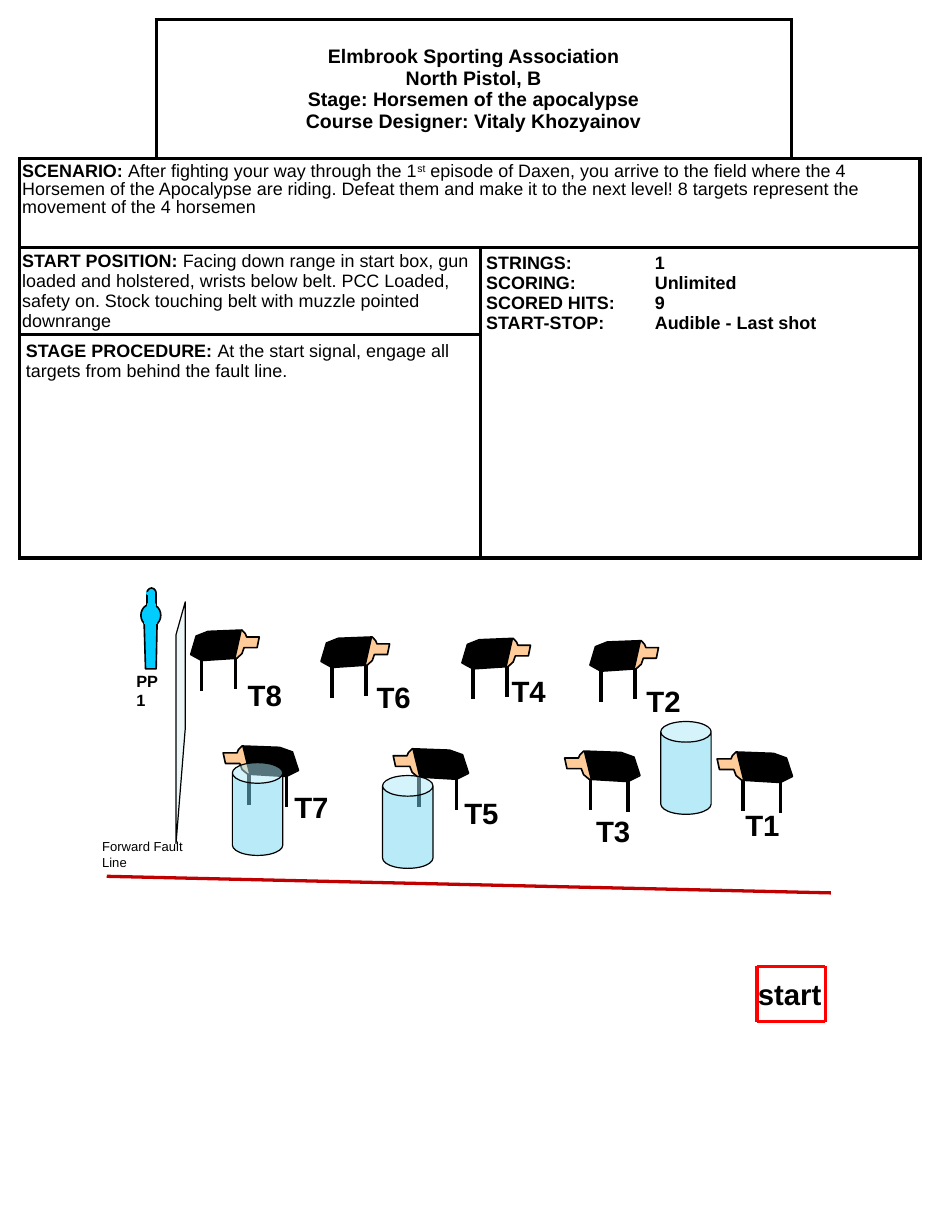
import lxml.etree
import pptx
import pptx.dml.color
import pptx.enum.shapes
import pptx.enum.text
import pptx.oxml.ns
import pptx.util

Cm = pptx.util.Cm
Pt = pptx.util.Pt
SHAPE = pptx.enum.shapes.MSO_SHAPE
ANCHOR = pptx.enum.text.MSO_ANCHOR
qn = pptx.oxml.ns.qn

BLACK, WHITE, SKIN, CYAN = "000000", "FFFFFF", "FFCC99", "00CCFF"

# Horse drawn facing left, in cm from the nose and the top of the back
HORSE = [(.05, .38), (0, .15), (.3, .15), (.33, .08), (.41, 0), (1.22, .03),
         (1.5, .13), (1.63, .53), (1.37, .66), (.53, .61), (.41, .51), (.36, .38)]
COAT = [(1.37, .66), (1.63, .51), (1.5, .13), (1.17, .03), (.41, 0), (.56, .61)]
LEGS = [(.56, .33, 1.27), (1.37, .58, 1.32)]

# Label, nose position, label position, horizontal scale (negative faces right)
TARGETS = [
    ("T1", (15.52, 16.28), (15.88, 17.35), 1),
    ("T2", (14.25, 13.87), (13.74, 14.66), -.91),
    ("T3", (12.22, 16.26), (12.65, 17.48), 1),
    ("T4", (11.48, 13.82), (10.82, 14.45), -.91),
    ("T5", (8.51, 16.21), (9.8, 17.09), 1),
    ("T6", (8.43, 13.79), (7.9, 14.58), -.91),
    ("T7", (4.83, 16.15), (6.12, 16.97), 1),
    ("T8", (5.61, 13.64), (5.11, 14.53), -.91),
]
BARRELS = [(5.03, 16.51), (14.3, 15.62), (8.28, 16.79)]
SCORING = [("STRINGS:", "1"), ("SCORING:", "Unlimited"),
           ("SCORED HITS:", "9"), ("START-STOP:", "Audible - Last shot")]


def rgb(code):
    return pptx.dml.color.RGBColor.from_string(code)


def add_run(paragraph, text, size, bold=False):
    run = paragraph.add_run()
    run.text = text
    run.font.name = "Arial"
    run.font.size = Pt(size)
    run.font.bold = bold
    run.font.color.rgb = rgb(BLACK)
    return run


def paint(shape, fill, line=BLACK, width=1, opacity=None):
    shape.shadow.inherit = False
    shape.fill.solid()
    shape.fill.fore_color.rgb = rgb(fill)
    if opacity:
        color = shape.fill._xPr.find(qn("a:solidFill"))[0]
        lxml.etree.SubElement(color, qn("a:alpha"), val=str(opacity * 1000))
    if line:
        shape.line.color.rgb = rgb(line)
        shape.line.width = Pt(width)
    else:
        shape.line.fill.background()


def add_preset(shapes, kind, box, fill, **style):
    shape = shapes.add_shape(kind, *map(Cm, box))
    paint(shape, fill, **style)
    return shape


def add_outline(shapes, points, fill, **style):
    corners = [(Cm(x), Cm(y)) for x, y in points]
    builder = shapes.build_freeform(*corners[0])
    builder.add_line_segments(corners[1:], close=True)
    paint(builder.convert_to_shape(), fill, **style)


def add_line(shapes, start, end, color, width):
    line = shapes.add_connector(pptx.enum.shapes.MSO_CONNECTOR.STRAIGHT,
                                *map(Cm, (*start, *end)))
    line.line.color.rgb = rgb(color)
    line.line.width = Pt(width)
    lxml.etree.SubElement(line._element.spPr, qn("a:effectLst"))


def add_label(shapes, text, box, size, bold=True):
    label = shapes.add_textbox(*map(Cm, box))
    label.text_frame.word_wrap = True
    add_run(label.text_frame.paragraphs[0], text, size, bold)
    return label.text_frame


def set_borders(cell, sides):
    """Draw the given sides (letters of LRTB) and clear the others."""
    properties = cell._tc.get_or_add_tcPr()
    for index, side in enumerate("LRTB"):
        border = lxml.etree.Element(qn("a:ln" + side), w=str(Pt(2.25)))
        if side in sides:
            fill = lxml.etree.SubElement(border, qn("a:solidFill"))
            lxml.etree.SubElement(fill, qn("a:srgbClr"), val=BLACK)
        else:
            lxml.etree.SubElement(border, qn("a:noFill"))
        properties.insert(index, border)


def set_margins(cell, side, top):
    cell.margin_left = cell.margin_right = Cm(side)
    cell.margin_top = cell.margin_bottom = Cm(top)


def add_briefing(cell, heading, text, side, top):
    set_margins(cell, side, top)
    paragraph = cell.text_frame.paragraphs[0]
    add_run(paragraph, heading + " ", 11, True)
    add_run(paragraph, text, 11)
    return paragraph


def add_scoring(cell):
    set_margins(cell, .13, .13)
    for index, (name, value) in enumerate(SCORING):
        frame = cell.text_frame
        paragraph = frame.add_paragraph() if index else frame.paragraphs[0]
        tabs = lxml.etree.SubElement(paragraph._p.get_or_add_pPr(), qn("a:tabLst"))
        lxml.etree.SubElement(tabs, qn("a:tab"), pos=str(Cm(3.65)), algn="l")
        add_run(paragraph, f"{name}\t{value}", 11, True)


def add_stage_table(shapes):
    widths, heights = (2.95, 7.01, 6.73, 2.79), (3, 1.93, 1.88, 4.83)
    table = shapes.add_table(4, 4, Cm(.43), Cm(.43),
                             Cm(sum(widths)), Cm(sum(heights))).table
    table.first_row = table.horz_banding = False
    for column, width in zip(table.columns, widths):
        column.width = Cm(width)
    for row, height in zip(table.rows, heights):
        row.height = Cm(height)
    for r, c in ((r, c) for r in range(4) for c in range(4)):
        cell = table.cell(r, c)
        cell.fill.solid()
        cell.fill.fore_color.rgb = rgb(WHITE)
        set_borders(cell, {(0, 0): "RB", (0, 3): "LB"}.get((r, c), "LRTB"))
    for first, last in [((0, 1), (0, 2)), ((1, 0), (1, 3)), ((2, 0), (2, 1)),
                        ((2, 2), (3, 3)), ((3, 0), (3, 1))]:
        table.cell(*first).merge(table.cell(*last))

    heading = table.cell(0, 1)
    set_margins(heading, .13, .13)
    heading.vertical_anchor = ANCHOR.MIDDLE
    paragraph = heading.text_frame.paragraphs[0]
    paragraph.alignment = pptx.enum.text.PP_ALIGN.CENTER
    for index, text in enumerate(["Elmbrook Sporting Association", "North Pistol, B",
                                  "Stage: Horsemen of the apocalypse",
                                  "Course Designer: Vitaly Khozyainov"]):
        if index:
            paragraph.add_line_break()
        add_run(paragraph, text, 12, True)

    scenario = add_briefing(table.cell(1, 0), "SCENARIO:",
                            "After fighting your way through the 1", .05, .1)
    scenario.line_spacing = .9
    ordinal = add_run(scenario, "st", 11)
    ordinal._r.get_or_add_rPr().set("baseline", "30000")
    add_run(scenario, " episode of Daxen, you arrive to the field where the 4 Horsemen of "
            "the Apocalypse are riding. Defeat them and make it to the next level! "
            "8 targets represent the movement of the 4 horsemen", 11)
    add_briefing(table.cell(2, 0), "START POSITION:",
                 "Facing down range in start box, gun loaded and holstered, wrists below "
                 "belt. PCC Loaded, safety on. Stock touching belt with muzzle pointed "
                 "downrange", .05, .08)
    add_briefing(table.cell(3, 0), "STAGE PROCEDURE:",
                 "At the start signal, engage all targets from behind the fault line.",
                 .13, .13)
    add_scoring(table.cell(2, 2))


def add_horse(slide, nose, scale):
    def place(points):
        return [(nose[0] + x * scale, nose[1] + y) for x, y in points]

    parts = slide.shapes.add_group_shape().shapes
    for x, top, foot in LEGS:
        add_line(parts, *place([(x, top), (x, foot)]), BLACK, 2.25)
    add_outline(parts, place(HORSE), SKIN)
    add_outline(parts, place(COAT), BLACK, line=None)


def add_start_box(slide):
    parts = slide.shapes.add_group_shape().shapes
    left, top, right, bottom = 16.38, 20.92, 17.86, 22.12
    corners = [(left, top), (right, top), (right, bottom), (left, bottom)]
    for start, end in zip(corners, corners[1:] + corners[:1]):
        add_line(parts, start, end, "FF0000", 2)
    add_label(parts, "start", (16.15, 21.01, 2.18, 1.02), 18)


def add_popper(slide):
    frame = add_label(slide.shapes, "PP1", (2.95, 14.73, .65, .43), 10)
    frame.margin_left = frame.margin_right = frame.margin_top = frame.margin_bottom = 0
    frame.vertical_anchor = ANCHOR.MIDDLE
    parts = slide.shapes.add_group_shape().shapes
    add_preset(parts, SHAPE.OVAL, (3.18, 12.73, .2, .23), CYAN)
    add_preset(parts, SHAPE.OVAL, (3.05, 13.08, .43, .48), CYAN)
    add_outline(parts, [(3.12, 13.49), (3.4, 13.49), (3.38, 14.48), (3.15, 14.48)], CYAN)
    add_preset(parts, SHAPE.RECTANGLE, (3.18, 12.85, .2, .25), CYAN)
    add_preset(parts, SHAPE.RECTANGLE, (3.12, 13.46, .28, .05), CYAN, line=None)
    add_preset(parts, SHAPE.RECTANGLE, (3.2, 13.08, .15, .05), CYAN, line=CYAN)
    add_preset(parts, SHAPE.RECTANGLE, (3.18, 12.83, .15, .03), CYAN, line=CYAN)


def main():
    deck = pptx.Presentation()
    deck.slide_width, deck.slide_height = Cm(20.32), Cm(26.67)
    slide = deck.slides.add_slide(deck.slide_layouts[6])
    add_stage_table(slide.shapes)
    for name, _, corner, _ in TARGETS:
        add_label(slide.shapes, name, (*corner, 1.47, 1.02), 18)
    add_start_box(slide)
    for _, nose, _, scale in TARGETS:
        add_horse(slide, nose, scale)
    add_popper(slide)
    add_line(slide.shapes, (17.98, 19.33), (2.31, 18.97), "C00000", 2)
    add_label(slide.shapes, "Forward Fault Line", (1.96, 18.03, 2.64, .94), 8, False)
    add_outline(slide.shapes, [(4.01, 15.77), (3.81, 18.26), (3.81, 13.74), (4.01, 13.03)],
                "BBE0E3", width=.75, opacity=25)
    for corner in BARRELS:
        barrel = add_preset(slide.shapes, SHAPE.CAN, (*corner, 1.09, 2.01), "73D9F1",
                            width=.75, opacity=50)
        barrel.adjustments[0] = .41
    deck.save("out.pptx")


if __name__ == "__main__":
    main()
